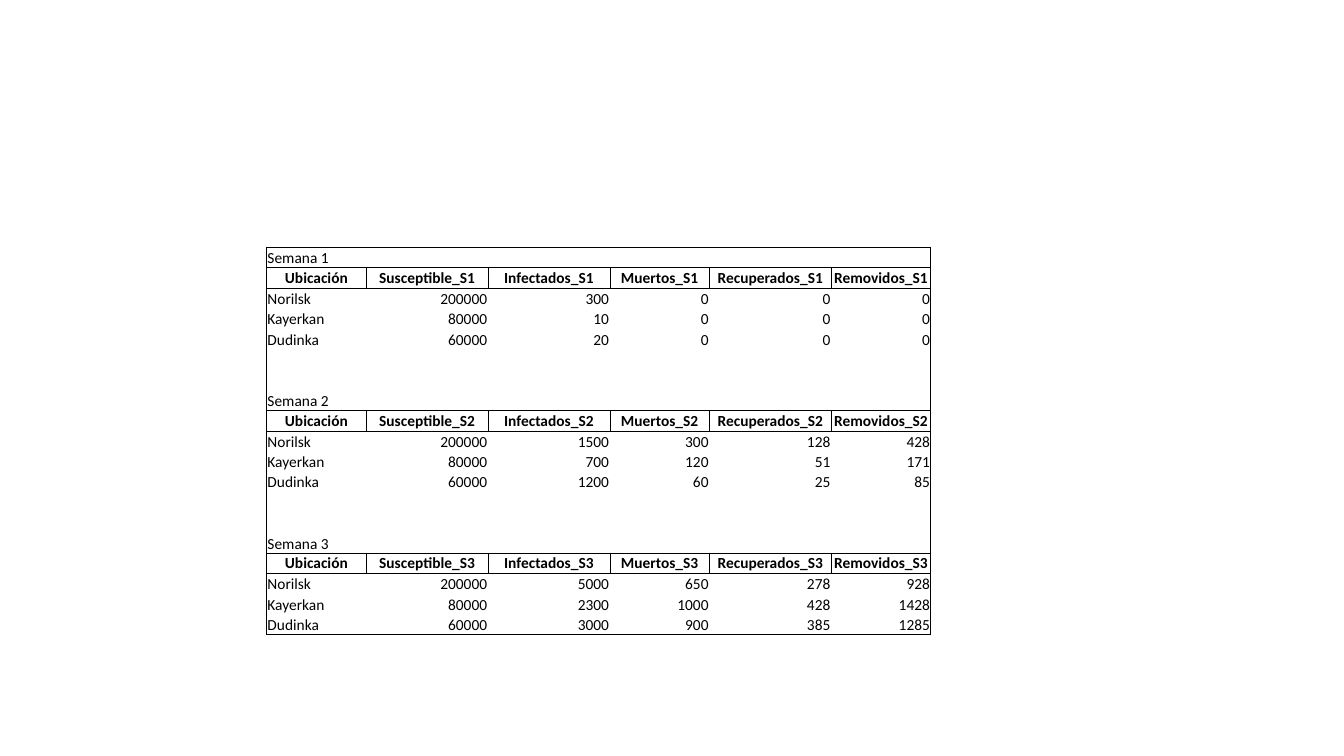
from dataclasses import dataclass

from lxml import etree
from pptx import Presentation
from pptx import util as u
from pptx.dml.color import RGBColor
from pptx.enum import text
from pptx.oxml import ns
from pptx.table import _Cell


@dataclass(frozen=True)
class Theme:
    font: str = "Calibri"
    size: float = 11
    ink: str = "000000"
    border: float = 0.5


@dataclass(frozen=True)
class Week:
    number: int
    rows: tuple[tuple, ...]


THEME = Theme()
HEADINGS = ("Susceptible", "Infectados", "Muertos", "Recuperados", "Removidos")
COLUMN_WIDTHS = (2.51, 3.07, 3.07, 2.51, 3.07, 2.51)
TABLE_LEFT, TABLE_TOP, TABLE_HEIGHT = 6.72, 6.23, 9.78
BLANK_ROWS = 2
WEEKS = (
    Week(1, (("Norilsk", 200000, 300, 0, 0, 0),
             ("Kayerkan", 80000, 10, 0, 0, 0),
             ("Dudinka", 60000, 20, 0, 0, 0))),
    Week(2, (("Norilsk", 200000, 1500, 300, 128, 428),
             ("Kayerkan", 80000, 700, 120, 51, 171),
             ("Dudinka", 60000, 1200, 60, 25, 85))),
    Week(3, (("Norilsk", 200000, 5000, 650, 278, 928),
             ("Kayerkan", 80000, 2300, 1000, 428, 1428),
             ("Dudinka", 60000, 3000, 900, 385, 1285))),
)


@dataclass(frozen=True)
class Row:
    kind: str
    values: tuple = ()


def build_rows(weeks: tuple[Week, ...]) -> list[Row]:
    """List the table rows: title, headings, places, then blank rows between weeks."""
    rows: list[Row] = []
    for week in weeks:
        if rows:
            rows += [Row("blank")] * BLANK_ROWS
        rows.append(Row("title", (f"Semana {week.number}",)))
        headings = tuple(f"{heading}_S{week.number}" for heading in HEADINGS)
        rows.append(Row("header", ("Ubicación", *headings)))
        rows += [Row("data", values) for values in week.rows]
    return rows


def write_text(cell: _Cell, content: str, *, bold: bool = False,
               align: text.PP_ALIGN = text.PP_ALIGN.LEFT,
               anchor: text.MSO_ANCHOR = text.MSO_ANCHOR.BOTTOM) -> None:
    cell.margin_left = cell.margin_right = cell.margin_top = u.Cm(0.02)
    cell.margin_bottom = u.Cm(0)
    cell.vertical_anchor = anchor
    paragraph = cell.text_frame.paragraphs[0]
    paragraph.alignment = align
    if not content:
        # The end mark keeps an empty row as low as the others
        end_mark = etree.SubElement(paragraph._p, ns.qn("a:endParaRPr"))
        end_mark.set("sz", str(int(THEME.size * 100)))
        return
    run = paragraph.add_run()
    run.text = content
    run.font.name = THEME.font
    run.font.size = u.Pt(THEME.size)
    run.font.bold = bold
    run.font.color.rgb = RGBColor.from_string(THEME.ink)


def set_borders(cell: _Cell, sides: set[str]) -> None:
    cell.fill.background()
    properties = cell._tc.get_or_add_tcPr()
    for position, side in enumerate("LRTB"):
        line = etree.Element(ns.qn(f"a:ln{side}"), w=str(u.Pt(THEME.border)))
        if side in sides:
            fill = etree.SubElement(line, ns.qn("a:solidFill"))
            etree.SubElement(fill, ns.qn("a:srgbClr"), val=THEME.ink)
        else:
            etree.SubElement(line, ns.qn("a:noFill"))
        properties.insert(position, line)


def border_sides(rows: list[Row], row_index: int, column_index: int) -> set[str]:
    """Frame the whole table and box every heading."""
    kind = rows[row_index].kind
    if kind == "header":
        return set("LRTB")
    rules = {
        "L": column_index == 0,
        "R": column_index == len(COLUMN_WIDTHS) - 1,
        "T": row_index == 0 or rows[row_index - 1].kind == "header",
        "B": row_index == len(rows) - 1 or kind == "title",
    }
    return {side for side, drawn in rules.items() if drawn}


def fill_cell(cell: _Cell, row: Row, column_index: int) -> None:
    content = str(row.values[column_index]) if column_index < len(row.values) else ""
    if row.kind == "header":
        write_text(cell, content, bold=True, align=text.PP_ALIGN.CENTER,
                   anchor=text.MSO_ANCHOR.TOP)
    elif row.kind == "data" and column_index > 0:
        write_text(cell, content, align=text.PP_ALIGN.RIGHT)
    else:
        write_text(cell, content)


def main() -> None:
    presentation = Presentation()
    presentation.slide_width, presentation.slide_height = u.Cm(33.87), u.Cm(19.05)
    slide = presentation.slides.add_slide(presentation.slide_layouts[6])

    # Weekly table
    rows = build_rows(WEEKS)
    table = slide.shapes.add_table(
        len(rows), len(COLUMN_WIDTHS), u.Cm(TABLE_LEFT), u.Cm(TABLE_TOP),
        u.Cm(sum(COLUMN_WIDTHS)), u.Cm(TABLE_HEIGHT)).table
    table.first_row = table.horz_banding = False
    for column, width in zip(table.columns, COLUMN_WIDTHS):
        column.width = u.Cm(width)

    # Text and borders
    for row_index, row in enumerate(rows):
        for column_index in range(len(COLUMN_WIDTHS)):
            cell = table.cell(row_index, column_index)
            fill_cell(cell, row, column_index)
            set_borders(cell, border_sides(rows, row_index, column_index))

    presentation.save("out.pptx")


if __name__ == "__main__":
    main()
